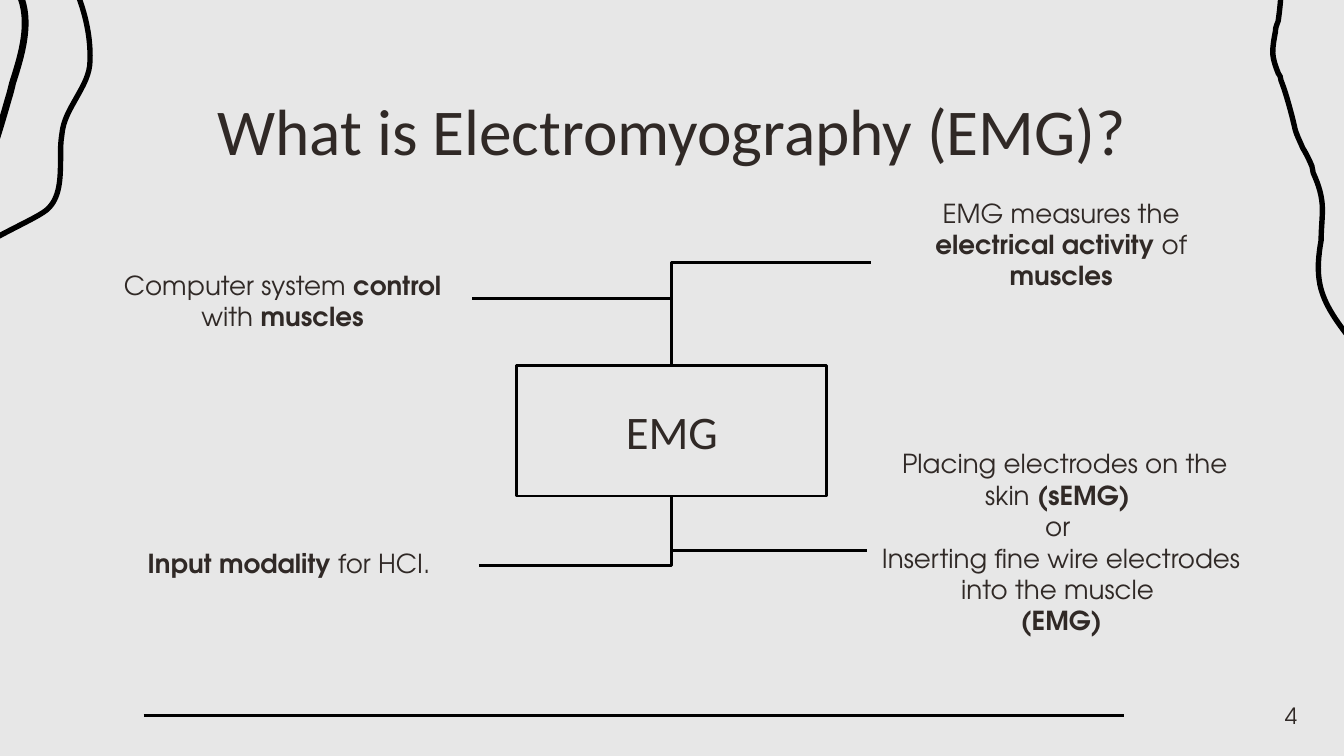
from dataclasses import dataclass
from math import cos, hypot, radians, sin

from lxml.etree import SubElement
from pptx import Presentation
from pptx.dml.color import RGBColor
from pptx.enum.shapes import MSO_CONNECTOR as Link, MSO_SHAPE as Preset
from pptx.enum.text import MSO_ANCHOR as Anchor, PP_ALIGN as Align
from pptx.oxml.ns import qn
from pptx.util import Pt


@dataclass(frozen=True)
class Theme:
    paper: RGBColor = RGBColor(0xE7, 0xE7, 0xE7)
    text: RGBColor = RGBColor(0x30, 0x29, 0x26)
    ink: RGBColor = RGBColor(0, 0, 0)
    heading_font: str = "Calibri"
    body_font: str = "TeX Gyre Adventor"
    title_size: float = 35
    hub_size: float = 25
    body_size: float = 14
    number_size: float = 12
    line_width: float = 1.5
    inset: float = 7.2


THEME = Theme()
WIDTH, HEIGHT = 720, 405

# Boxes are left, top, width, height. A paragraph is a list of (text, bold).
TITLE = [[("What is Electromyography (EMG)?", False)]]
TITLE_BOX = (56.7, 41, 607, 45.4)
HUB = [[("EMG", False)]]
HUB_BOX = (276.8, 195.8, 166.2, 70)
NUMBER = [[("4", False)]]
NUMBER_BOX = (601.9, 364.6, 100.1, 37.4)
FOOTER_RULE = (77, 383.3, 602, 383.3)

# Each branch has its text, its box, the free end of its connector, and the hub side.
TOP_SIDE, BOTTOM_SIDE = 0, 2
BRANCHES = [
    ([[("Input modality", True), (" for HCI.", False)]],
     (53, 289, 203.8, 28.1), (256.5, 303), BOTTOM_SIDE),
    ([[("Computer system ", False), ("control ", True), ("with ", False), ("muscles", True)]],
     (49.5, 134.6, 203.8, 50.4), (253, 159.8), TOP_SIDE),
    ([[(" Placing electrodes on the skin ", False), ("(sEMG) ", True)],
      [("or ", False)],
      [("Inserting fine wire electrodes into the muscle ", False)],
      [("(EMG)", True)]],
     (464.5, 242.2, 208.1, 105.8), (464.4, 295), BOTTOM_SIDE),
    ([[("EMG measures the ", False), ("electrical activity", True), (" of ", False),
       ("muscles", True)]],
     (466.6, 117.8, 203.8, 45.4), (466.6, 140.6), TOP_SIDE),
]

# Each ribbon has a turn in degrees, a signed thickness, a start, and Bezier segments.
RIBBONS = [
    (23.4, 2.9, (687.6, -18), [
        (688.3, -7.2, 687.6, 1.4, 686.2, 11.5),
        (685.4, 13.7, 684.7, 15.1, 684.7, 17.3),
        (684, 20.9, 683.3, 24.5, 683.3, 28.1),
        (683.3, 31, 684.7, 35.3, 686.2, 38.9),
        (686.9, 39.6, 687.6, 41, 687.6, 42.5),
        (689.8, 48.2, 691.2, 53.3, 692.6, 58.3),
        (693.4, 61.2, 694.1, 64.1, 694.8, 67),
        (695.5, 71.3, 697.7, 74.9, 699.1, 78.5),
        (701.3, 82.1, 702.7, 85, 704.2, 88.6),
        (704.2, 90, 704.9, 90.7, 704.9, 92.2),
        (707.8, 98.6, 709.9, 105.1, 709.9, 112.3),
        (709.9, 117.4, 709.2, 123.1, 709.2, 128.9),
        (707.8, 136.8, 707, 144.7, 708.5, 151.9),
        (710.6, 162.7, 717.8, 172.1, 725, 181.4),
        (727.2, 184.3, 729.4, 187.2, 730.8, 190.1),
        (736.6, 199.4, 742.3, 208.8, 747.4, 218.2),
        (751.7, 225.4, 756, 232.6, 760.3, 239.8),
        (763.2, 244.8, 766.8, 249.8, 770.4, 255.6)]),
    (303, -3.7, (-21.6, -50.4), [
        (-18.7, -46.8, -16.6, -43.2, -13.7, -39.6),
        (-5.8, -28.1, 2.9, -15.1, 8.6, -2.9),
        (15.1, 11.5, 10.1, 28.1, 5, 43.9),
        (4.3, 46.8, 3.6, 49.7, 2.9, 51.8),
        (-4.3, 77, -10.8, 98.6, -23.8, 118.8),
        (-25.9, 122.4, -28.8, 126, -31, 129.6),
        (-36, 135.4, -42.5, 141.8, -48.2, 147.6),
        (-56.9, 155.5, -65.5, 164.2, -71.3, 173.5),
        (-71.3, 174.2, -72, 174.2, -72, 175)]),
    (346.1, -2.9, (13.7, -59), [
        (17.3, -49.7, 21.6, -41, 26.6, -32.4),
        (36.7, -12.2, 47.5, 8.6, 46.8, 32.4),
        (46.8, 39.6, 43.2, 45.4, 39.6, 51.8),
        (36, 58.3, 32.4, 64.1, 31.7, 72),
        (31, 76.3, 31, 79.9, 31, 84.2),
        (31, 95, 31, 105.8, 23.8, 111.6),
        (20.2, 114.5, 10.8, 118.8, -1.4, 125.3),
        (-36, 142.6, -89.3, 169.2, -92.2, 189.4),
        (-92.9, 193.7, -91.4, 196.6, -88.6, 200.2)]),
]


def offset(points, distance, reach=2):
    """Move every point sideways from the direction of travel around it."""
    moved = []
    for index, (x, y) in enumerate(points):
        ahead = points[min(index + reach, len(points) - 1)]
        behind = points[max(index - reach, 0)]
        dx, dy = ahead[0] - behind[0], ahead[1] - behind[1]
        scale = distance / hypot(dx, dy)
        moved.append((x - dy * scale, y + dx * scale))
    return moved


def rotate(point, degrees):
    x, y = point
    c, s = cos(radians(degrees)), sin(radians(degrees))
    return x * c - y * s, x * s + y * c


def curve_lines(lines):
    """Merge each three straight steps of an outline into one Bezier segment."""
    for first, second, third in zip(lines[::3], lines[1::3], lines[2::3]):
        first.tag = qn("a:cubicBezTo")
        for step in (second, third):
            first.append(step[0])
            step.getparent().remove(step)


def add_ribbon(slide, turn, thickness, start, segments):
    edge = [start] + [pair for s in segments for pair in zip(s[::2], s[1::2])]
    outline = [tuple(map(Pt, rotate(point, -turn)))
               for point in edge + offset(edge, thickness)[::-1]]
    builder = slide.shapes.build_freeform(*outline[0])
    builder.add_line_segments(outline[1:], close=True)
    ribbon = builder.convert_to_shape()

    lines = list(ribbon.element.spPr.iter(qn("a:lnTo")))
    count = len(edge) - 1
    curve_lines(lines[:count])
    curve_lines(lines[count + 1:2 * count + 1])

    half_width, half_height = ribbon.width / 2, ribbon.height / 2
    x, y = rotate((ribbon.left + half_width, ribbon.top + half_height), turn)
    ribbon.left, ribbon.top = int(x - half_width), int(y - half_height)
    ribbon.rotation = turn
    ribbon.shadow.inherit = False
    ribbon.fill.solid()
    ribbon.fill.fore_color.rgb = THEME.ink
    ribbon.line.fill.background()


def write(box, paragraphs, font, size, anchor, align=Align.CENTER):
    frame = box.text_frame
    frame.word_wrap = True
    frame.vertical_anchor = anchor
    frame.margin_left = frame.margin_right = Pt(THEME.inset)
    frame.margin_top = frame.margin_bottom = Pt(THEME.inset)
    for index, runs in enumerate(paragraphs):
        para = frame.add_paragraph() if index else frame.paragraphs[0]
        para.alignment = align
        for text, bold in runs:
            span = para.add_run()
            span.text = text
            span.font.name = font
            span.font.size = Pt(size)
            span.font.bold = bold
            span.font.color.rgb = THEME.text


def add_text(slide, area, *text_options):
    write(slide.shapes.add_textbox(*map(Pt, area)), *text_options)


def draw_line(shape):
    shape.line.color.rgb = THEME.ink
    shape.line.width = Pt(THEME.line_width)


def add_link(slide, kind, *ends):
    link = slide.shapes.add_connector(kind, *map(Pt, ends))
    draw_line(link)
    SubElement(link.element.spPr, qn("a:effectLst"))
    return link


def add_branch_link(slide, hub, tip, side):
    """Run level from the tip to the hub's middle, then turn once to its side."""
    link = add_link(slide, Link.ELBOW, *tip, *tip)
    link.end_connect(hub, side)
    link.element.spPr.find(qn("a:prstGeom")).set("prst", "bentConnector2")


def main():
    deck = Presentation()
    deck.slide_width, deck.slide_height = Pt(WIDTH), Pt(HEIGHT)
    page = deck.slides.add_slide(deck.slide_layouts[6])
    page.background.fill.solid()
    page.background.fill.fore_color.rgb = THEME.paper
    for ribbon in RIBBONS:
        add_ribbon(page, *ribbon)
    add_text(page, TITLE_BOX, TITLE, THEME.heading_font, THEME.title_size, Anchor.TOP)
    hub = page.shapes.add_shape(Preset.RECTANGLE, *map(Pt, HUB_BOX))
    hub.shadow.inherit = False
    hub.fill.background()
    draw_line(hub)
    write(hub, HUB, THEME.heading_font, THEME.hub_size, Anchor.MIDDLE)
    for paragraphs, area, tip, side in BRANCHES:
        add_text(page, area, paragraphs, THEME.body_font, THEME.body_size, Anchor.BOTTOM)
        add_branch_link(page, hub, tip, side)
    add_link(page, Link.STRAIGHT, *FOOTER_RULE)
    add_text(page, NUMBER_BOX, NUMBER, THEME.body_font, THEME.number_size,
             Anchor.MIDDLE, Align.RIGHT)
    deck.save("out.pptx")


if __name__ == "__main__":
    main()
